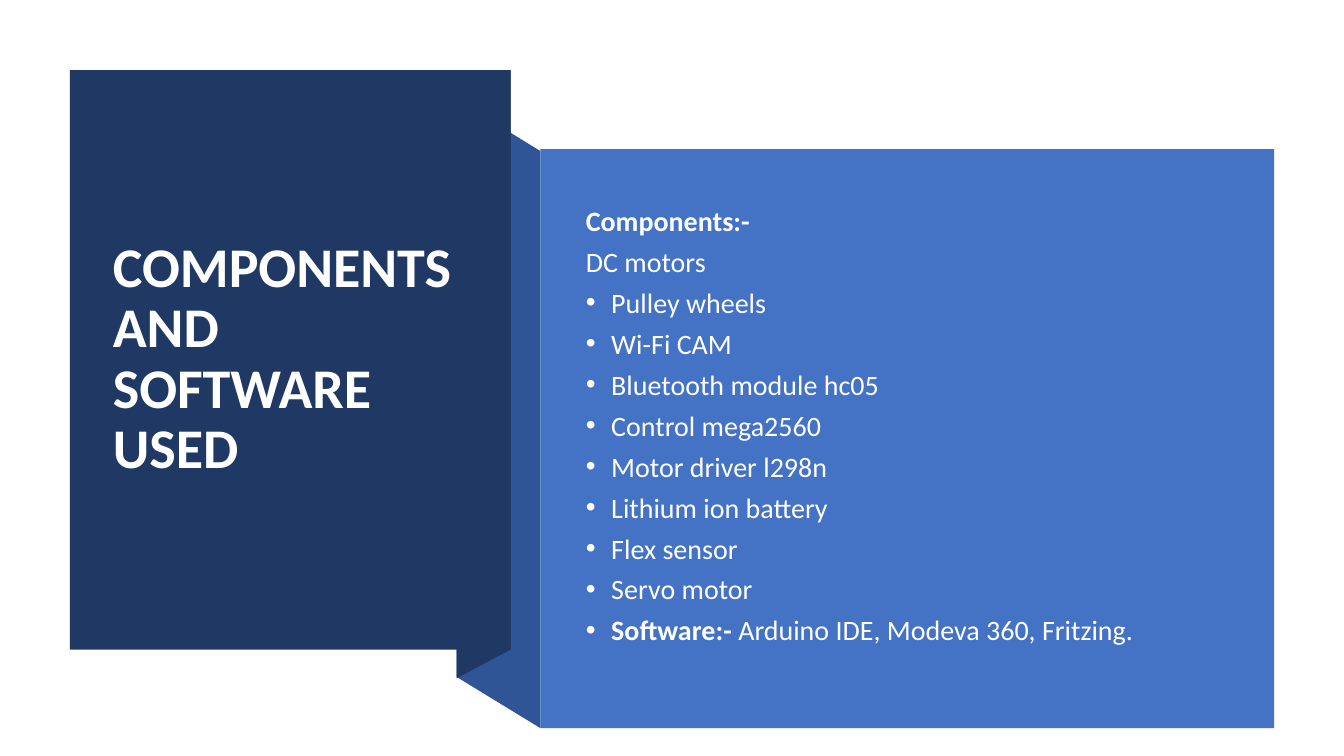
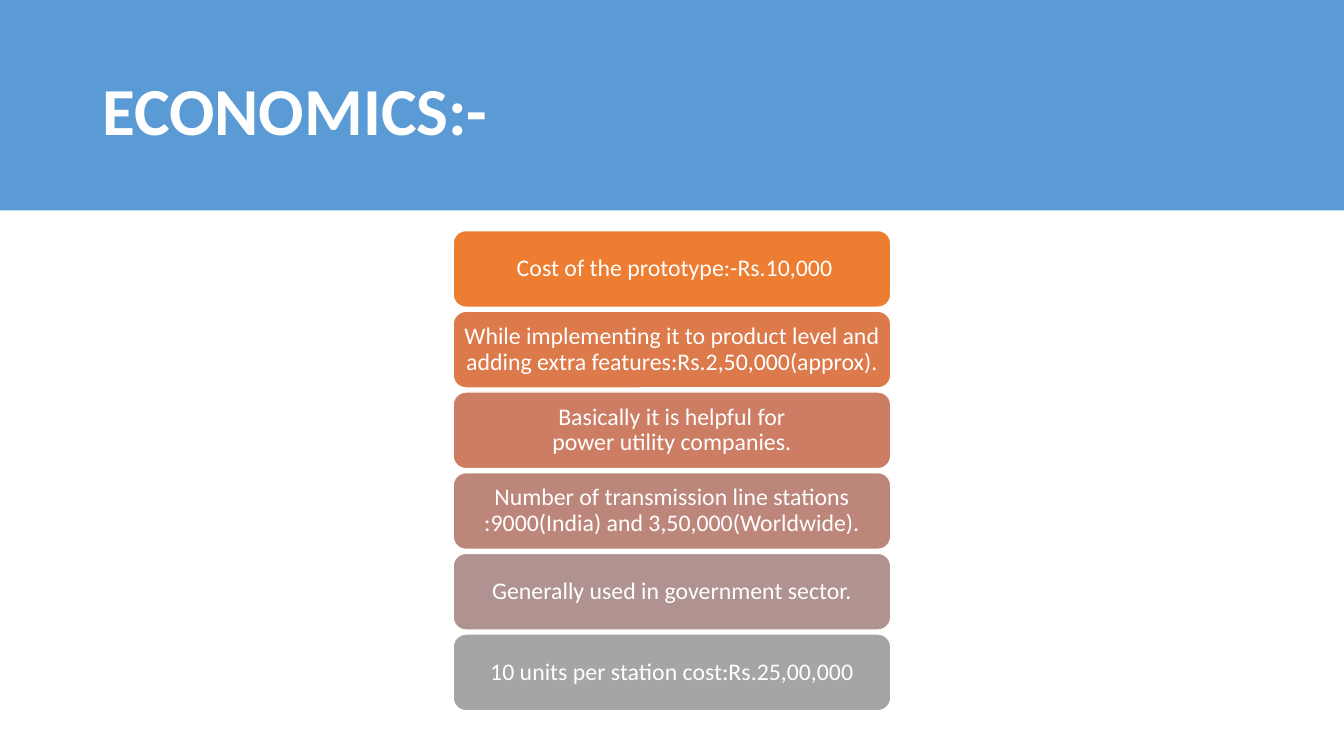
"""Build a two-slide deck on project components and economics."""
from lxml import etree
from pptx import Presentation
from pptx.dml.color import RGBColor
from pptx.enum.shapes import MSO_SHAPE
from pptx.enum.text import MSO_ANCHOR, MSO_AUTO_SIZE, PP_ALIGN
from pptx.oxml.ns import qn
from pptx.util import Cm, Pt

RECTANGLE = MSO_SHAPE.RECTANGLE
ROUNDED = MSO_SHAPE.ROUNDED_RECTANGLE
MIDDLE = MSO_ANCHOR.MIDDLE
NO_FIT = MSO_AUTO_SIZE.NONE
LEFT, CENTER = PP_ALIGN.LEFT, PP_ALIGN.CENTER

FONT = "Calibri"
WHITE = RGBColor(0xFF, 0xFF, 0xFF)
NAVY = RGBColor(0x20, 0x38, 0x64)
FOLD_BLUE = RGBColor(0x2F, 0x55, 0x97)
PANEL_BLUE = RGBColor(0x44, 0x72, 0xC4)
BAND_BLUE = RGBColor(0x5B, 0x9B, 0xD5)
STEP_COLOURS = [
    RGBColor(0xED, 0x7D, 0x31),
    RGBColor(0xDC, 0x7A, 0x4B),
    RGBColor(0xCC, 0x7D, 0x64),
    RGBColor(0xBD, 0x86, 0x7B),
    RGBColor(0xB0, 0x93, 0x91),
    RGBColor(0xA5, 0xA5, 0xA5),
]

SLIDE_WIDTH, SLIDE_HEIGHT = 33.87, 19.05
TITLE_AND_CONTENT, TITLE_ONLY = 1, 5

COMPONENTS = [
    ("Components:-", "", False),
    ("", "DC motors", False),
    ("", "Pulley wheels", True),
    ("", "Wi-Fi CAM", True),
    ("", "Bluetooth module hc05", True),
    ("", "Control mega2560", True),
    ("", "Motor driver l298n", True),
    ("", "Lithium ion battery", True),
    ("", "Flex sensor", True),
    ("", "Servo motor", True),
    ("Software:- ", "Arduino IDE, Modeva 360, Fritzing.", True),
]
ECONOMICS = [
    " Cost of the prototype:-Rs.10,000",
    "While implementing it to product level and adding extra features:Rs.2,50,000(approx).",
    "Basically it is helpful for\npower utility companies.",
    "Number of transmission line stations :9000(India) and 3,50,000(Worldwide).",
    "Generally used in government sector.",
    "10 units per station cost:Rs.25,00,000",
]


def paint(shape, colour):
    """Give a shape a flat fill without line or shadow."""
    shape.shadow.inherit = False
    shape.fill.solid()
    shape.fill.fore_color.rgb = colour
    shape.line.fill.background()


def add_block(page, kind, box, colour):
    """Add a flat preset shape in a box given in centimetres."""
    block = page.shapes.add_shape(kind, *map(Cm, box))
    paint(block, colour)
    return block


def add_outline(page, corners, colour):
    """Add a flat polygon through corners given in centimetres."""
    points = [(Cm(x), Cm(y)) for x, y in corners]
    builder = page.shapes.build_freeform(*points[0])
    builder.add_line_segments(points[1:], close=True)
    paint(builder.convert_to_shape(), colour)


def style_paragraph(para, size, align=LEFT, spacing=0.9):
    """Apply the deck's font, colour and line spacing."""
    para.alignment = align
    para.line_spacing = spacing
    para.font.name = FONT
    para.font.size = Pt(size)
    para.font.color.rgb = WHITE


def place_placeholder(page, holder, box):
    """Move a placeholder into its box, in front of the other shapes."""
    holder.left, holder.top, holder.width, holder.height = map(Cm, box)
    frame = holder.text_frame
    frame.word_wrap = True
    frame.auto_size = NO_FIT
    frame.vertical_anchor = MIDDLE
    page.shapes._spTree.append(holder._element)
    return frame


def set_title(page, text, box, size):
    """Fill the title placeholder in the shared bold style."""
    frame = place_placeholder(page, page.shapes.title, box)
    frame.text = text
    para = frame.paragraphs[0]
    style_paragraph(para, size)
    para.font.bold = True


def set_bullet(para, bulleted):
    """Set the indent and bullet of a list paragraph."""
    properties = para._p.get_or_add_pPr()
    indent = Cm(0.64) if bulleted else 0
    properties.set("marL", str(indent))
    properties.set("indent", str(-indent))
    if bulleted:
        etree.SubElement(properties, qn("a:buFont")).set("typeface", "Arial")
        etree.SubElement(properties, qn("a:buChar")).set("char", "•")
    else:
        etree.SubElement(properties, qn("a:buNone"))


def set_list(page, entries, box):
    """Fill the body placeholder with plain and bulleted entries."""
    frame = place_placeholder(page, page.placeholders[1], box)
    for index, (strong, plain, bulleted) in enumerate(entries):
        para = frame.add_paragraph() if index else frame.paragraphs[0]
        set_bullet(para, bulleted)
        style_paragraph(para, 20, spacing=0.8)
        para.space_before = Pt(10 if index else 0)
        for text, bold in ((strong, True), (plain, False)):
            if text:
                span = para.add_run()
                span.text = text
                span.font.bold = bold


def add_ribbon(page, title_box, list_box):
    """Draw the title and list panels joined by a folded ribbon."""
    left, top, width, height = title_box
    right, bottom = left + width, top + height
    panel_left, panel_top, _, panel_height = list_box
    fold_left = right - 1.36
    panel_bottom = panel_top + panel_height
    add_outline(page, [
        (panel_left, panel_bottom), (fold_left, panel_bottom - 1.29),
        (fold_left, panel_top - 1.25), (panel_left, panel_top + 0.05),
    ], FOLD_BLUE)
    add_outline(page, [
        (right, bottom), (fold_left, bottom + 0.72),
        (fold_left, top + 0.72), (right, top),
    ], NAVY)
    add_block(page, RECTANGLE, title_box, NAVY)
    add_block(page, RECTANGLE, list_box, PANEL_BLUE)


def add_steps(page, texts, box):
    """Stack one rounded card per text at equal steps in the box."""
    left, top, width, height = box
    gap = 0.1
    card_height = (height + gap) / len(texts) - gap
    for index, (text, colour) in enumerate(zip(texts, STEP_COLOURS)):
        card_top = top + index * (card_height + gap)
        card = add_block(page, ROUNDED, (left, card_top, width, card_height), colour)
        card.line.color.rgb = WHITE
        card.line.width = Pt(1)
        frame = card.text_frame
        frame.word_wrap = True
        frame.vertical_anchor = MIDDLE
        frame.margin_left = frame.margin_right = Cm(0.12)
        frame.margin_top = frame.margin_bottom = Cm(0.1)
        para = frame.paragraphs[0]
        para.text = text.replace("\n", "\v")
        style_paragraph(para, 17, CENTER)


def build_components(deck):
    """Build the slide that lists components and software."""
    page = deck.slides.add_slide(deck.slide_layouts[TITLE_AND_CONTENT])
    add_ribbon(page, (1.76, 1.77, 11.11, 14.6), (13.62, 3.76, 18.49, 14.59))
    set_title(page, "COMPONENTS AND SOFTWARE USED", (2.59, 2.73, 9.42, 12.67), 40)
    set_list(page, COMPONENTS, (14.51, 4.77, 16.54, 12.04))


def build_economics(deck):
    """Build the slide with a title band and a stack of cards."""
    page = deck.slides.add_slide(deck.slide_layouts[TITLE_ONLY])
    add_block(page, RECTANGLE, (0, 0, SLIDE_WIDTH, 5.3), BAND_BLUE)
    set_title(page, "ECONOMICS:-", (2.33, 1.02, 29.21, 3.68), 48)
    add_steps(page, ECONOMICS, (11.42, 5.81, 11.03, 12.1))


def main():
    """Create and save the deck."""
    deck = Presentation()
    deck.slide_width, deck.slide_height = Cm(SLIDE_WIDTH), Cm(SLIDE_HEIGHT)
    build_components(deck)
    build_economics(deck)
    deck.save("out.pptx")


if __name__ == "__main__":
    main()
